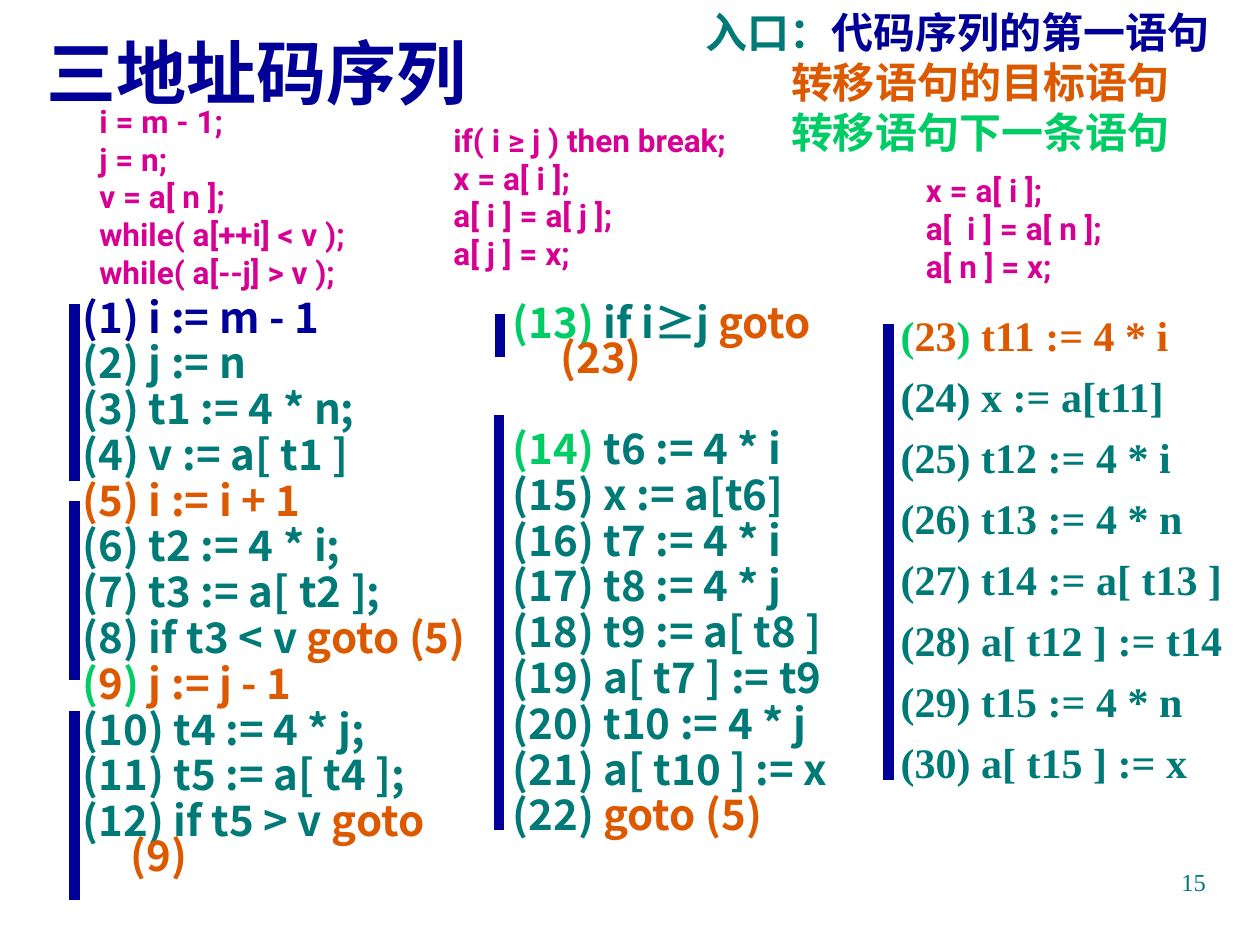
from lxml import etree
from pptx import Presentation
from pptx import util as u
from pptx.dml.color import RGBColor
from pptx.enum import shapes, text
from pptx.oxml.ns import qn

THEME = {
    "color": {"navy": "000099", "teal": "007A77", "orange": "DC5900",
              "green": "00CC66", "pink": "D60093"},
    "size": {"title": 40, "body": 24, "source": 18, "number": 14},
    "cjk": "Noto Sans CJK JP", "sans": "Roboto", "serif": "Times New Roman",
}
SIZE = THEME["size"]


def fill_text(tf, lines, font, size, color, bold=True, indent=(0, 0), fmt=None):
    """Write lines; each is a string or a list of (text, color) runs."""
    frame = {"word_wrap": True, "auto_size": text.MSO_AUTO_SIZE.NONE}
    for name, value in frame.items():
        setattr(tf, name, value)
    for i, line in enumerate(lines):
        p = tf.paragraphs[0] if i == 0 else tf.add_paragraph()
        pPr = p._p.get_or_add_pPr()
        pPr.set("marL", str(u.Inches(indent[0])))
        pPr.set("indent", str(u.Inches(indent[1])))
        for name, value in (fmt or {}).items():
            if i or name != "space_before":
                setattr(p, name, value)
        for words, shade in [(line, color)] if isinstance(line, str) else line:
            r = p.add_run()
            r.text = words
            for name, value in {"name": font, "size": u.Pt(size), "bold": bold}.items():
                setattr(r.font, name, value)
            r.font.color.rgb = RGBColor.from_string(THEME["color"][shade])
            ea = etree.SubElement(r._r.get_or_add_rPr(), qn("a:ea"))
            ea.set("typeface", THEME["cjk"])


def add_text(box, *args, **kwargs):
    sp = s.shapes.add_textbox(*map(u.Inches, box))
    fill_text(sp.text_frame, *args, **kwargs)
    return sp.text_frame


prs = Presentation()
prs.slide_width, prs.slide_height = u.Inches(10), u.Inches(7.5)
s = prs.slides.add_slide(prs.slide_layouts[5])

# Title
title = s.shapes.title
for name, value in zip(("left", "top", "width", "height"), (0.27, 0.21, 4.34, 0.71)):
    setattr(title, name, u.Inches(value))
title.text_frame.vertical_anchor = text.MSO_ANCHOR.MIDDLE
fill_text(title.text_frame, ["三地址码序列"], THEME["cjk"], SIZE["title"], "navy",
          fmt={"alignment": text.PP_ALIGN.JUSTIFY})

# Three-address code, one column per part of the program
columns = [
    ((0.56, 2.37, 3.33, 4.85), THEME["cjk"], 0.7, [
        [("(1) i := m - 1", "navy")],
        "(2) j := n",
        "(3) t1 := 4 * n;",
        "(4) v := a[ t1 ]",
        [("(5) i := i + 1", "orange")],
        "(6) t2 := 4 * i;",
        "(7) t3 := a[ t2 ];",
        [("(8) if t3 < v ", "teal"), ("goto (5)", "orange")],
        [("(", "green"), ("9", "orange"), (")", "green"), (" j := j - 1", "orange")],
        "(10) t4 := 4 * j;",
        "(11) t5 := a[ t4 ];",
        [("(12) if t5 > v ", "teal"), ("goto (9)", "orange")],
    ]),
    ((3.97, 2.41, 3, 4.5), THEME["cjk"], 0.7, [
        [("(13) ", "green"), ("if i≥j ", "teal"), ("goto (23)", "orange")],
        [("(14)", "green"), (" t6 := 4 * i", "teal")],
        "(15) x := a[t6]",
        "(16) t7 := 4 * i",
        "(17) t8 := 4 * j",
        "(18) t9 := a[ t8 ]",
        "(19) a[ t7 ] := t9",
        "(20) t10 := 4 * j",
        "(21) a[ t10 ] := x",
        [("(22) ", "teal"), ("goto (5)", "orange")],
    ]),
    ((7.05, 2.41, 2.83, 3.95), THEME["serif"], 1.0, [
        [("(", "green"), ("23", "orange"), (") ", "green"), ("t11 := 4 * i", "orange")],
        "(24) x := a[t11]",
        "(25) t12 := 4 * i",
        "(26) t13 := 4 * n",
        "(27) t14 := a[ t13 ]",
        "(28) a[ t12 ] := t14",
        "(29) t15 := 4 * n",
        "(30) a[ t15 ] := x",
    ]),
]
frames = [add_text(box, lines, font, SIZE["body"], "teal", indent=(0.38, -0.38),
                   fmt={"line_spacing": spacing, "space_before": u.Pt(6)})
          for box, font, spacing, lines in columns]
# Gap between the blocks of the middle column
frames[1].paragraphs[1].space_before = u.Pt(32)

# Bars marking the basic blocks
for x, top, bottom in [(0.59, 2.41, 3.82), (0.59, 3.98, 5.4), (0.59, 5.64, 7.14),
                       (3.97, 2.49, 2.83), (3.96, 3.29, 6.59), (7.05, 2.57, 6.19)]:
    bar = s.shapes.add_connector(shapes.MSO_CONNECTOR.STRAIGHT,
                                 *map(u.Inches, (x, top, x, bottom)))
    bar.line.width = u.Pt(6)
    bar.line.color.rgb = RGBColor.from_string(THEME["color"]["navy"])
    etree.SubElement(bar._element.spPr, qn("a:effectLst"))

# Rules for block entries
rules = add_text((5, 0, 4.73, 1.3), [
    [("入口：", "teal"), ("代码序列的第一语句", "navy")],
    [("转移语句的目标语句", "orange")],
    [("转移语句下一条语句", "green")],
], THEME["sans"], SIZE["body"], "teal", indent=(0.5, 0))
for p in rules.paragraphs[1:]:
    p._p.get_or_add_pPr().set("marL", str(u.Inches(1.18)))

# Source code above each column
for box, lines in [
    ((0.69, 0.76, 2.34, 1.6), ["i = m - 1;", "j = n;", "v = a[ n ];",
                               "while( a[++i] < v );", "while( a[--j] > v );"]),
    ((3.5, 0.91, 2.91, 1.3), ["if( i ≥ j ) then break;", "x = a[ i ];",
                              "a[ i ] = a[ j ];", "a[ j ] = x;"]),
    ((7.25, 1.31, 1.74, 1), ["x = a[ i ];", "a[  i ] = a[ n ];", "a[ n ] = x;"]),
]:
    add_text(box, lines, THEME["sans"], SIZE["source"], "pink")

# Slide number
add_text((7.17, 6.83, 2.5, 0.52), ["15"], THEME["serif"], SIZE["number"], "teal",
         bold=False, fmt={"alignment": text.PP_ALIGN.RIGHT})

prs.save("out.pptx")
